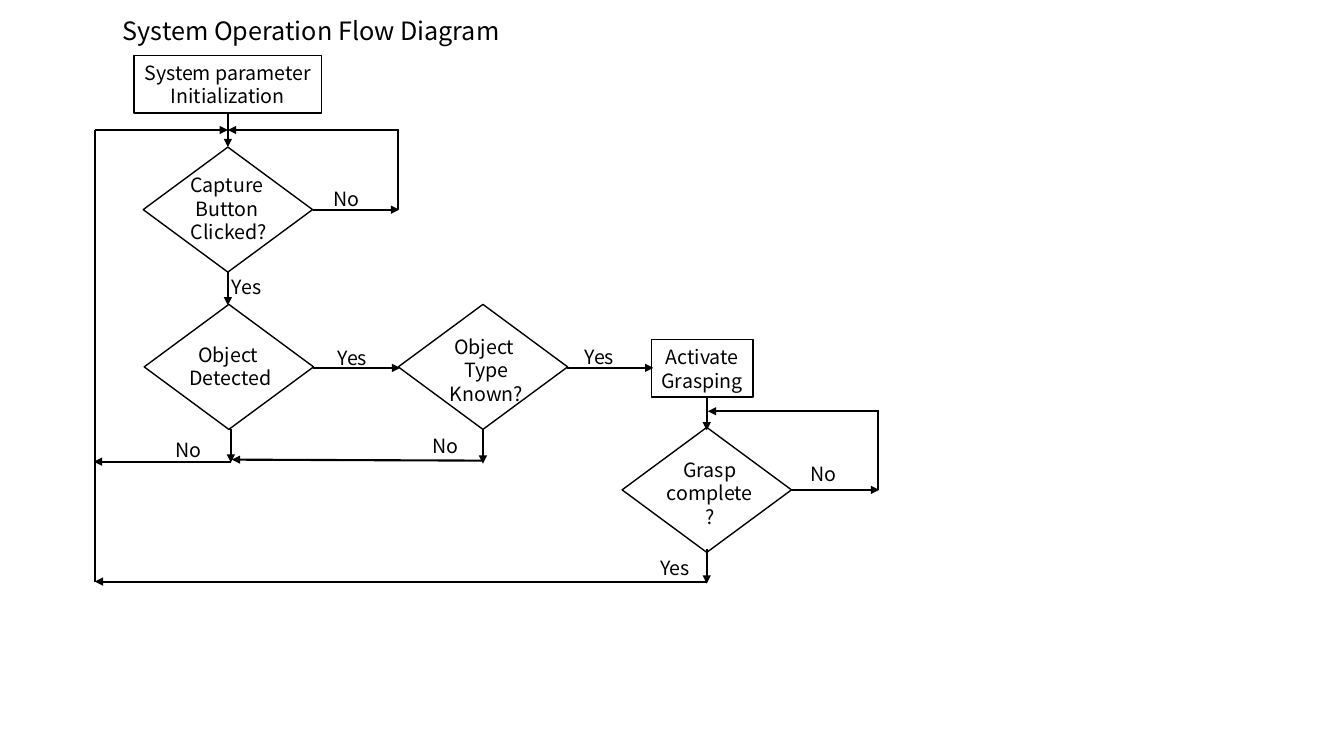
from lxml import etree
from pptx import Presentation
from pptx import util as u
from pptx.dml.color import RGBColor
from pptx.enum import shapes, text
from pptx.oxml import ns

PX = 9144  # 100 px to the inch
INK = RGBColor(0, 0, 0)
FONT = "Noto Sans CJK JP"
SIZE = (1333, 750)
TOP, LEFT, BOTTOM, RIGHT = range(4)
RECT = shapes.MSO_SHAPE.RECTANGLE
TEST = shapes.MSO_SHAPE.FLOWCHART_DECISION

TITLE = ("System Operation Flow Diagram", 112, 10, 396, 40)

# name: (kind, x, y, w, h, words)
NODES = {
    "init": (RECT, 133, 55, 186, 57, "System parameter\vInitialization"),
    "capture": (TEST, 142, 146, 168, 124, ""),
    "detect": (TEST, 143, 302, 168, 124, ""),
    "known": (TEST, 395, 302, 168, 124, ""),
    "grasp": (RECT, 646, 337, 101, 57, "Activate\nGrasping"),
    "done": (TEST, 617, 424, 168, 124, ""),
}

# (words, x, y, w, h, wrap)
ASKS = [
    ("Capture\vButton\n Clicked?", 174, 167, 102, 81, False),
    ("Object \nDetected", 177, 335, 103, 57, False),
    ("Object \nType\nKnown?", 436, 327, 93, 81, False),
    ("Grasp\ncomplete?", 647, 449, 114, 57, True),
]

LABEL = (56, 34)
LABELS = [
    ("Yes", 220, 268), ("No", 321, 181), ("Yes", 325, 338), ("No", 164, 430),
    ("No", 419, 426), ("Yes", 570, 337), ("No", 794, 453), ("Yes", 645, 547),
]

# Each end is a point (x, y) or a joint (node, side); the last item is the arrowhead.
FLOWS = [
    (("init", BOTTOM), ("capture", TOP), True),
    (("capture", BOTTOM), (226, 303), True),
    (("capture", RIGHT), (396, 208), True),
    ((395, 207), (395, 129), False),
    ((396, 129), (226, 129), True),
    ((310, 365), (397, 365), True),
    ((229, 426), (229, 459), True),
    ((229, 458), (93, 458), True),
    (("known", BOTTOM), (479, 460), True),
    ((479, 457), (230, 456), True),
    ((562, 365), (648, 365), True),
    ((701, 394), (701, 427), True),
    (("done", RIGHT), (872, 486), True),
    ((871, 486), (871, 408), False),
    ((872, 408), (702, 408), True),
    ((701, 545), (701, 579), True),
    ((701, 577), (94, 577), True),
    ((94, 577), (94, 129), False),
    ((94, 129), (226, 129), True),
]


def px(*nums):
    return [n * PX for n in nums]


def write(shape, words, size=14, align=text.PP_ALIGN.LEFT, wrap=True):
    frame = shape.text_frame
    frame.word_wrap = wrap
    frame.text = words
    for para in frame.paragraphs:
        para.alignment = align
        for run in para.runs:
            font = run.font
            font.name, font.size = FONT, u.Pt(size)
            font.color.rgb = INK
            # East Asian face, so that every script uses the same font
            etree.SubElement(font._element, ns.qn("a:ea"), typeface=FONT)


def add_node(slide, kind, x, y, w, h, words):
    node = slide.shapes.add_shape(kind, *px(x, y, w, h))
    node.shadow.inherit = False
    node.fill.background()
    node.line.color.rgb = INK
    node.line.width = u.Pt(1)
    if words:
        write(node, words, align=text.PP_ALIGN.CENTER, wrap=False)
    return node


def add_flow(slide, nodes, start, end, head):
    joints = [isinstance(spot[0], str) for spot in (start, end)]
    ends = [(0, 0) if joint else spot
            for joint, spot in zip(joints, (start, end))]
    line = slide.shapes.add_connector(
        shapes.MSO_CONNECTOR.STRAIGHT, *px(*ends[0], *ends[1]))
    for joint, spot, join in zip(joints, (start, end),
                                 (line.begin_connect, line.end_connect)):
        if joint:
            join(nodes[spot[0]], spot[1])
    line.line.color.rgb = INK
    line.line.width = u.Pt(1.5)
    if head:
        etree.SubElement(line.line._get_or_add_ln(), ns.qn("a:tailEnd"),
                         type="triangle")
    etree.SubElement(line._element.spPr, ns.qn("a:effectLst"))


def main():
    deck = Presentation()
    deck.slide_width, deck.slide_height = px(*SIZE)
    slide = deck.slides.add_slide(deck.slide_layouts[6])

    nodes = {name: add_node(slide, *node) for name, node in NODES.items()}
    for flow in FLOWS:
        add_flow(slide, nodes, *flow)
    for words, *box, wrap in ASKS:
        write(slide.shapes.add_textbox(*px(*box)), words,
              align=text.PP_ALIGN.CENTER, wrap=wrap)
    for words, x, y in LABELS:
        write(slide.shapes.add_textbox(*px(x, y, *LABEL)), words)
    words, *box = TITLE
    write(slide.shapes.add_textbox(*px(*box)), words, size=18)

    deck.save("out.pptx")


if __name__ == "__main__":
    main()
